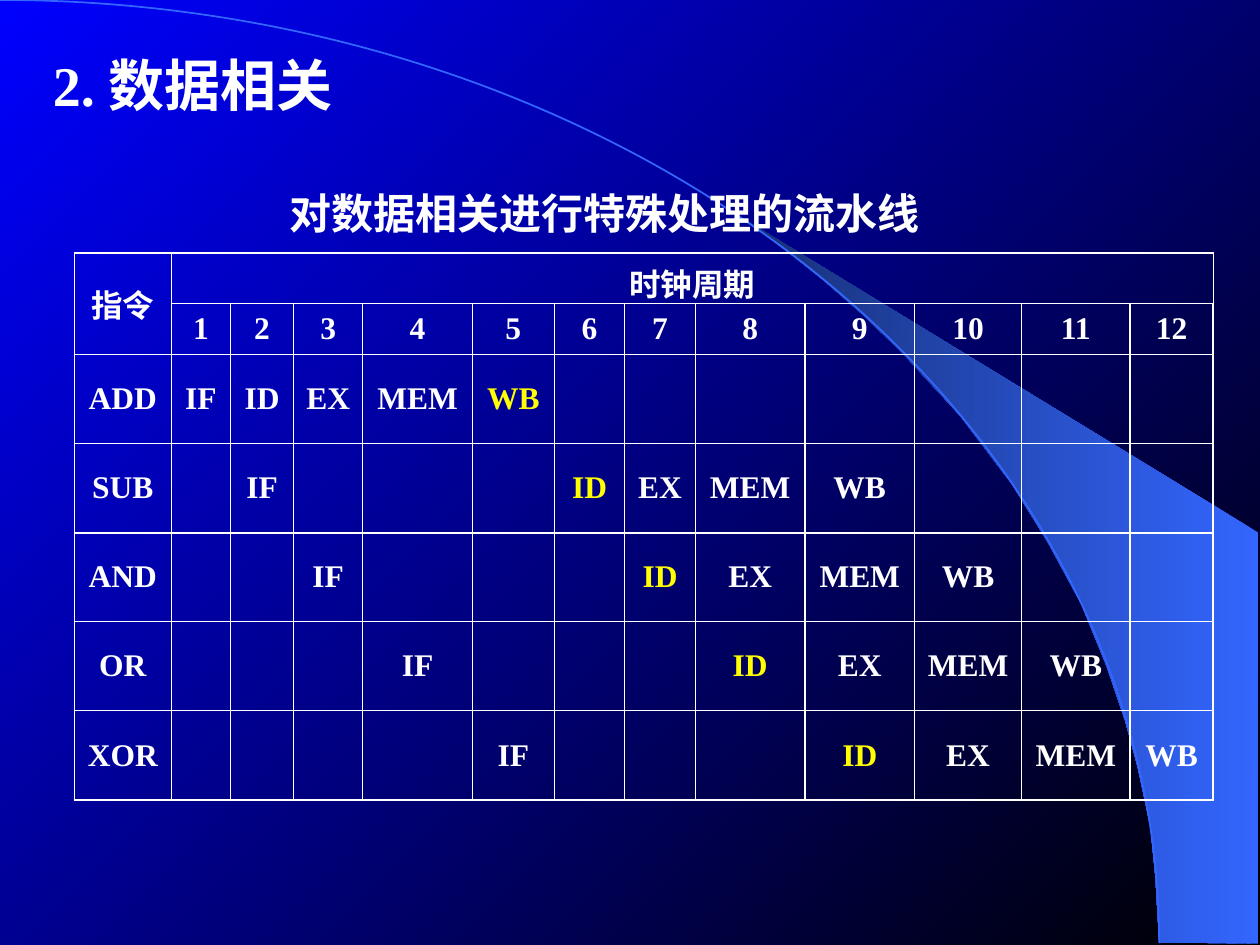
from pptx import Presentation
from pptx import util as u
from pptx.dml import color
from pptx.enum import shapes, text
from pptx.oxml import ns
from lxml import etree

WHITE, YELLOW, BLUE = "FFFFFF", "FFFF00", "3366FF"
TITLE = "2. 数据相关"
CAPTION = "对数据相关进行特殊处理的流水线"
STAGES = ["ID", "EX", "MEM", "WB"]
INSTRUCTIONS = [
    {"name": "ADD", "fetch": 1, "decode": 2, "highlight": 5},
    {"name": "SUB", "fetch": 2, "decode": 6, "highlight": 6},
    {"name": "AND", "fetch": 3, "decode": 7, "highlight": 7},
    {"name": "OR", "fetch": 4, "decode": 8, "highlight": 8},
    {"name": "XOR", "fetch": 5, "decode": 9, "highlight": 9},
]
COLUMN_WIDTHS = [0.77, 0.47, 0.5, 0.55, 0.87, 0.65, 0.56, 0.56, 0.87, 0.87, 0.85, 0.86, 0.66]
ROW_HEIGHTS = [0.4, 0.4, 0.71, 0.71, 0.7, 0.71, 0.71]
BEAM = [
    (9.2, 7.48), (9.99, 7.49), (9.99, 4.23), (5.89, 1.73), (6.24, 1.99), (6.53, 2.22),
    (6.85, 2.5), (7.16, 2.8), (7.62, 3.3), (8.03, 3.84), (8.32, 4.31), (8.58, 4.79),
    (8.78, 5.28), (8.93, 5.72), (9.03, 6.09), (9.13, 6.56), (9.17, 6.96),
]


def rgb(value):
    return color.RGBColor.from_string(value)


def inches(*values):
    return [u.Inches(value) for value in values]


def set_gradient(fill, colours, angle):
    fill.gradient()
    fill.gradient_angle = angle
    for stop, position, colour in zip(fill.gradient_stops, (0, 1), colours):
        stop.position = position
        stop.color.rgb = rgb(colour)


def write(paragraph, content, size, colour=WHITE):
    paragraph.text = content
    formats = {"name": "Times New Roman", "size": u.Pt(size), "bold": True}
    for run in paragraph.runs:
        for name, value in formats.items():
            setattr(run.font, name, value)
        run.font.color.rgb = rgb(colour)


def add_text(slide, box, content, size, **formats):
    frame = slide.shapes.add_textbox(*inches(*box)).text_frame
    for name, value in formats.items():
        setattr(frame, name, value)
    write(frame.paragraphs[0], content, size)
    return frame.paragraphs[0]


def add_backdrop(slide):
    set_gradient(slide.background.fill, ("000000", "0000FF"), 135)
    points = [inches(*point) for point in BEAM]
    builder = slide.shapes.build_freeform(*points[0])
    builder.add_line_segments(points[1:], close=True)
    beam = builder.convert_to_shape()
    beam.shadow.inherit = False
    set_gradient(beam.fill, (BLUE, "172F75"), 180)
    beam.line.fill.background()
    arc = slide.shapes.add_shape(shapes.MSO_SHAPE.ARC, *inches(-9.2, 0, 18.4, 14.97))
    arc.shadow.inherit = False
    arc.fill.background()
    arc.line.color.rgb = rgb(BLUE)
    arc.line.width = u.Pt(1)


def set_borders(cell, outer_sides):
    properties = cell._tc.get_or_add_tcPr()
    for side in "LRTB":
        width = u.Pt(1.08 if side in outer_sides else 0.75)
        line = etree.SubElement(properties, ns.qn(f"a:ln{side}"), w=str(width))
        fill = etree.SubElement(line, ns.qn("a:solidFill"))
        etree.SubElement(fill, ns.qn("a:srgbClr"), val=WHITE)


def pipeline_cells():
    cells = {(0, 0): ("指令", WHITE), (0, 1): ("时钟周期", WHITE)}
    for cycle in range(1, len(COLUMN_WIDTHS)):
        cells[1, cycle] = (str(cycle), WHITE)
    for row, instruction in enumerate(INSTRUCTIONS, 2):
        cells[row, 0] = (instruction["name"], WHITE)
        timeline = {instruction["fetch"]: "IF"}
        timeline.update(enumerate(STAGES, instruction["decode"]))
        for cycle, stage in timeline.items():
            colour = YELLOW if cycle == instruction["highlight"] else WHITE
            cells[row, cycle] = (stage, colour)
    return cells


def add_pipeline_table(slide):
    row_count, column_count = len(ROW_HEIGHTS), len(COLUMN_WIDTHS)
    size = (sum(COLUMN_WIDTHS), sum(ROW_HEIGHTS))
    table = slide.shapes.add_table(row_count, column_count, *inches(0.59, 2.01, *size)).table
    table.first_row = table.horz_banding = False
    for column, width in zip(table.columns, COLUMN_WIDTHS):
        column.width = u.Inches(width)
    for row, height in zip(table.rows, ROW_HEIGHTS):
        row.height = u.Inches(height)
    cells = pipeline_cells()
    for row in range(row_count):
        for column in range(column_count):
            cell = table.cell(row, column)
            edges = {"L": column == 0, "R": column == column_count - 1,
                     "T": row == 0, "B": row == row_count - 1}
            set_borders(cell, [side for side, outer in edges.items() if outer])
            cell.fill.background()
            cell.vertical_anchor = text.MSO_ANCHOR.MIDDLE
            if (row, column) in cells:
                content, colour = cells[row, column]
                paragraph = cell.text_frame.paragraphs[0]
                paragraph.alignment = text.PP_ALIGN.CENTER
                write(paragraph, content, 18, colour)
    table.cell(0, 0).merge(table.cell(1, 0))
    table.cell(0, 1).merge(table.cell(0, column_count - 1))


def main():
    presentation = Presentation()
    presentation.slide_width, presentation.slide_height = inches(10, 7.5)
    slide = presentation.slides.add_slide(presentation.slide_layouts[6])
    add_backdrop(slide)
    add_text(slide, (0.42, 0.25, 7.1, 0.83), TITLE, 32, word_wrap=False,
             margin_left=0, margin_right=0, vertical_anchor=text.MSO_ANCHOR.MIDDLE)
    caption = add_text(slide, (1, 1.44, 9, 0.5), CAPTION, 24, word_wrap=True)
    caption._p.get_or_add_pPr().set("marL", str(u.Inches(1.2)))
    add_pipeline_table(slide)
    presentation.save("out.pptx")


if __name__ == "__main__":
    main()
